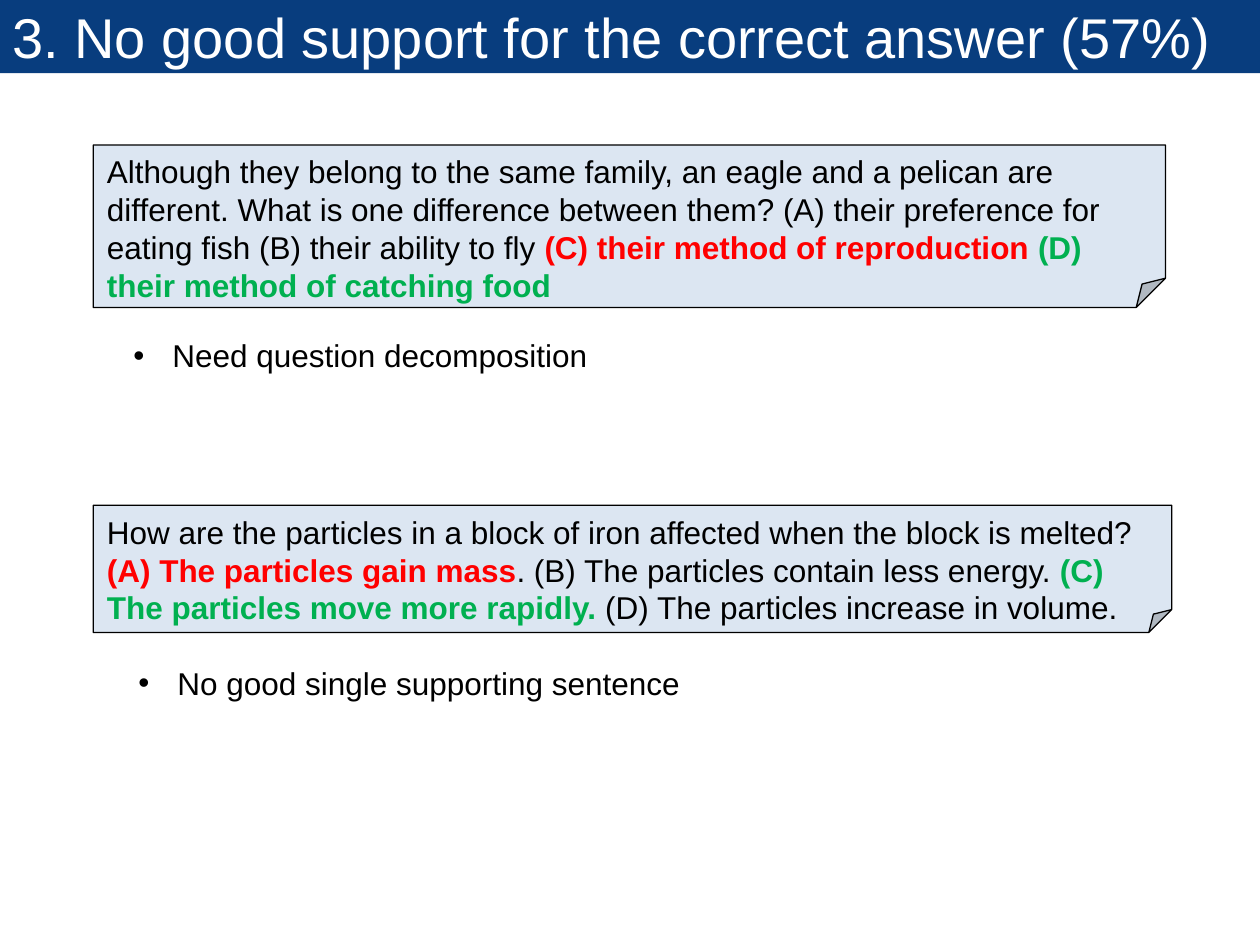
from dataclasses import dataclass

from lxml import etree
from pptx import Presentation
from pptx.dml.color import RGBColor
from pptx.enum.shapes import MSO_SHAPE
from pptx.enum.text import MSO_ANCHOR, MSO_AUTO_SIZE, PP_ALIGN
from pptx.oxml.ns import qn
from pptx.util import Inches, Pt

RECT, FOLDED = MSO_SHAPE.RECTANGLE, MSO_SHAPE.FOLDED_CORNER
MIDDLE, LEFT = MSO_ANCHOR.MIDDLE, PP_ALIGN.LEFT
FIT_SHAPE = MSO_AUTO_SIZE.SHAPE_TO_FIT_TEXT


@dataclass(frozen=True)
class Theme:
    """Colours and type sizes of the slide."""
    font: str = "Arial"
    title_size: int = 32
    body_size: int = 18
    banner: str = "083D7E"
    title: str = "FFFFFF"
    card: str = "DCE6F2"
    ink: str = "000000"
    wrong: str = "FF0000"
    right: str = "00B050"


THEME = Theme()

EAGLE = [
    ("Although they belong to the same family, an eagle and a pelican are different. "
     "What is one difference between them? (A) their preference for eating fish "
     "(B) their ability to fly ", THEME.ink),
    ("(C) their method of reproduction ", THEME.wrong),
    ("(D) their method of catching food", THEME.right),
]
IRON = [
    ("How are the particles in a block of iron affected when the block is melted? ", THEME.ink),
    ("(A) The particles gain mass", THEME.wrong),
    (". (B) The particles contain less energy. ", THEME.ink),
    ("(C) The particles move more rapidly. ", THEME.right),
    ("(D) The particles increase in volume.", THEME.ink),
]


def style(r, size, color, bold=False):
    """Set the font of a run."""
    r.font.name = THEME.font
    r.font.size = Pt(size)
    r.font.bold = bold
    r.font.color.rgb = RGBColor.from_string(color)


def add_box(s, kind, box, fill):
    """Add a filled shape without shadow."""
    sp = s.shapes.add_shape(kind, *map(Inches, box))
    sp.shadow.inherit = False
    sp.fill.solid()
    sp.fill.fore_color.rgb = RGBColor.from_string(fill)
    return sp


def add_title(s, box, text):
    """Add the title banner."""
    sp = add_box(s, RECT, box, THEME.banner)
    sp.line.fill.background()
    tf = sp.text_frame
    tf.text = text
    tf.vertical_anchor = MIDDLE
    p = tf.paragraphs[0]
    p.alignment = LEFT
    style(p.runs[0], THEME.title_size, THEME.title)


def add_text(s, box, wrap):
    """Add a text box and return its frame."""
    tf = s.shapes.add_textbox(*map(Inches, box)).text_frame
    tf.word_wrap = wrap
    tf.auto_size = FIT_SHAPE
    return tf


def set_fold(sp, share):
    """Set the fold size as a share of the shorter side."""
    guides = next(sp._element.iter(qn("a:avLst")))
    etree.SubElement(guides, qn("a:gd"), name="adj", fmla=f"val {round(share * 100000)}")


def add_question(s, box, text_box, parts):
    """Add a folded card with a question whose marked answers are bold."""
    sp = add_box(s, FOLDED, box, THEME.card)
    set_fold(sp, 0.18)
    sp.line.color.rgb = RGBColor.from_string(THEME.ink)
    sp.line.width = Pt(0.75)
    p = add_text(s, text_box, True).paragraphs[0]
    for text, color in parts:
        r = p.add_run()
        r.text = text
        style(r, THEME.body_size, color, color != THEME.ink)


def add_remark(s, box, text):
    """Add a one-line bulleted remark."""
    p = add_text(s, box, False).paragraphs[0]
    p.text = text
    pPr = p._p.get_or_add_pPr()
    pPr.set("marL", str(Inches(0.31)))
    pPr.set("indent", str(-Inches(0.31)))
    etree.SubElement(pPr, qn("a:buFont")).set("typeface", THEME.font)
    etree.SubElement(pPr, qn("a:buChar")).set("char", "•")
    style(p.runs[0], THEME.body_size, THEME.ink)


def main():
    """Build and save the slide."""
    prs = Presentation()
    prs.slide_width, prs.slide_height = Inches(10), Inches(7.5)
    s = prs.slides.add_slide(prs.slide_layouts[6])
    add_title(s, (0, 0, 10, 0.58), "3. No good support for the correct answer (57%)")
    add_question(s, (0.74, 4.01, 8.56, 1.01), (0.75, 4.02, 8.55, 1.01), IRON)
    add_remark(s, (1, 5.22, 4.54, 0.4), "No good single supporting sentence")
    add_question(s, (0.74, 1.15, 8.51, 1.29), (0.75, 1.16, 8.33, 1.31), EAGLE)
    add_remark(s, (0.96, 2.62, 3.84, 0.4), "Need question decomposition")
    prs.save("out.pptx")


if __name__ == "__main__":
    main()
